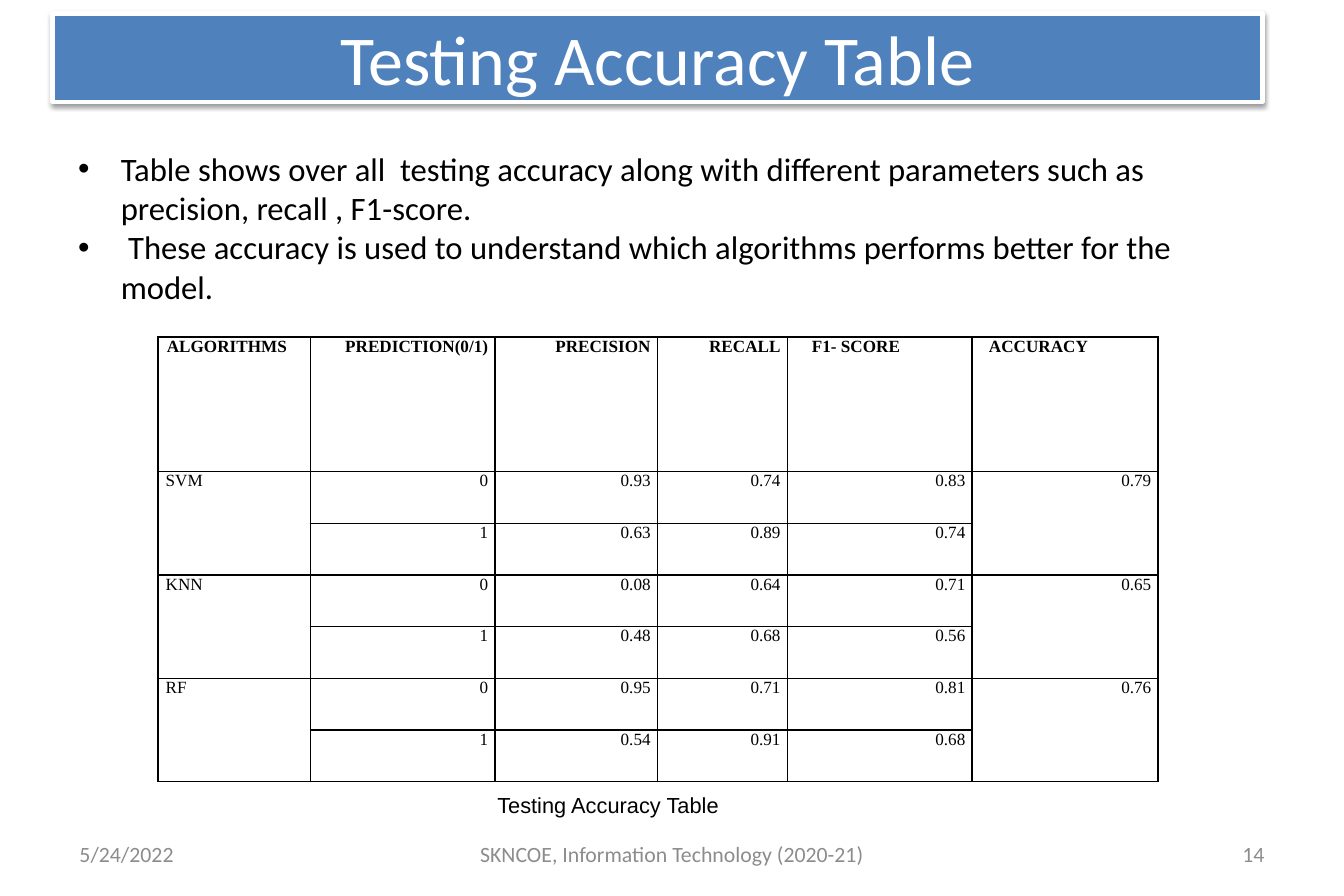
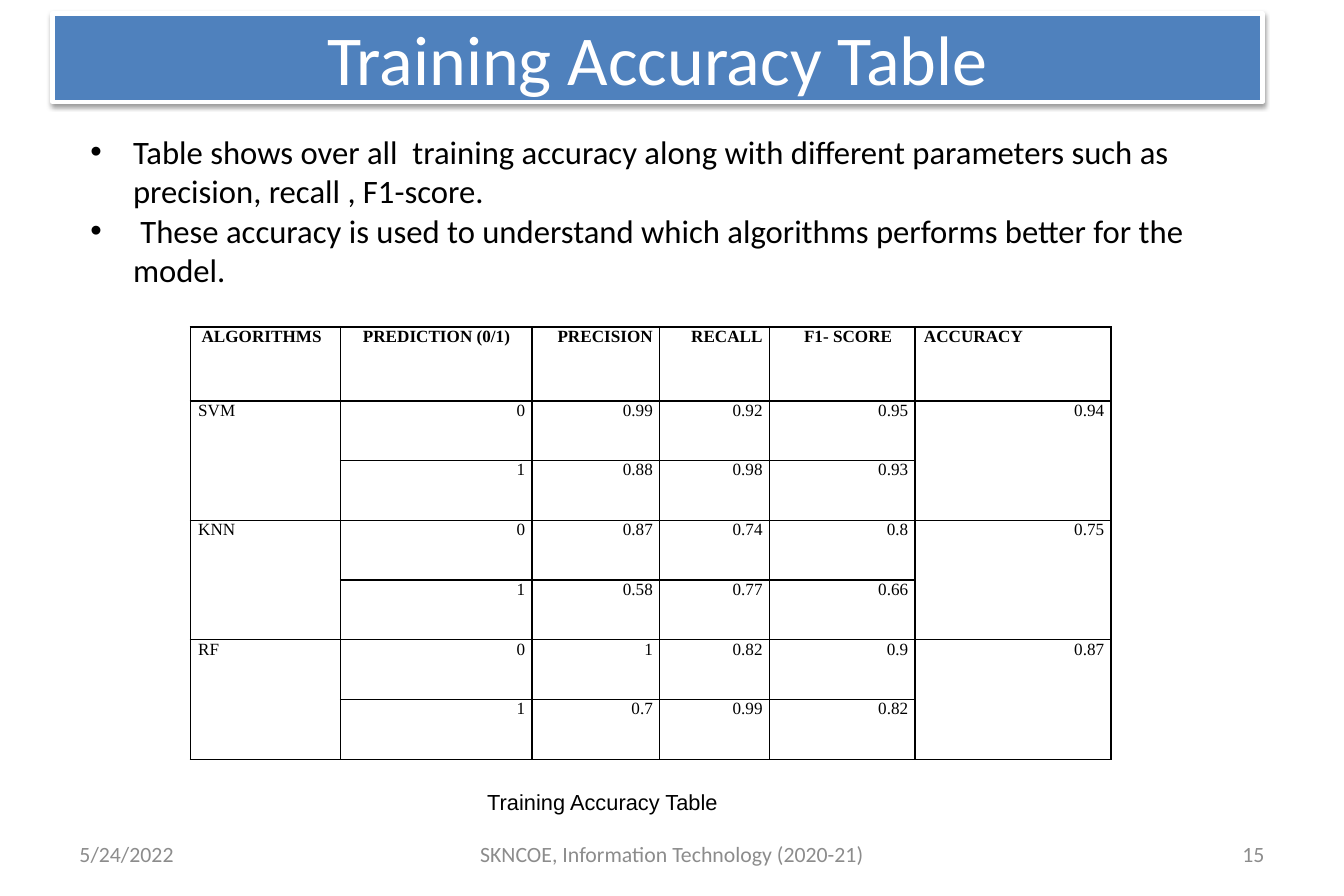
from dataclasses import dataclass

from lxml.etree import SubElement
from pptx import Presentation
from pptx.dml.color import RGBColor as Rgb
from pptx.enum.text import MSO_ANCHOR as Anchor, MSO_AUTO_SIZE as AutoSize, PP_ALIGN as Align
from pptx.oxml import parse_xml
from pptx.oxml.ns import nsdecls, qn
from pptx.util import Inches, Pt


@dataclass(frozen=True)
class Theme:
    """Colours, fonts and type sizes shared by all slides."""
    band: Rgb = Rgb(0x4F, 0x81, 0xBD)
    white: Rgb = Rgb(0xFF, 0xFF, 0xFF)
    ink: Rgb = Rgb(0, 0, 0)
    muted: Rgb = Rgb(0x8C, 0x8C, 0x8C)
    sans: str = "Calibri"
    serif: str = "Times New Roman"
    caption: str = "Arial"
    title_size: int = 45
    body_size: int = 21
    small_size: int = 14
    cell_size: int = 11


THEME = Theme()
TITLE_BOX = (0.47, 0.12, 10.8, 0.79)
FOOTER_TOP, FOOTER_HEIGHT = 7.41, 0.43
DATE = "5/24/2022"
FOOTER = "SKNCOE, Information Technology (2020-21)"
HEADINGS = ("PRECISION", "RECALL", "F1- SCORE", "ACCURACY")
PADDED = dict(margin_left=Inches(0.11), margin_right=Inches(0.11),
              margin_top=Inches(0.06), margin_bottom=Inches(0.06),
              vertical_anchor=Anchor.MIDDLE)

SLIDES = (
    dict(kind="Testing", number="14",
         body_box=(0.6, 1.28, 10.08, 1.51),
         table_box=(1.41, 3.01, 8.92, 3.97), header_height=1.2,
         columns=(1.36, 1.65, 1.45, 1.16, 1.65, 1.66),
         prediction="PREDICTION(0/1)",
         heading_indents=(0.08, None, None, None, 0.22, 0.15),
         caption_box=(4.14, 7.01, 2.67, 0.36),
         results=(("SVM", "0.79", ("0.93", "0.74", "0.83"), ("0.63", "0.89", "0.74")),
                  ("KNN", "0.65", ("0.08", "0.64", "0.71"), ("0.48", "0.68", "0.56")),
                  ("RF", "0.76", ("0.95", "0.71", "0.81"), ("0.54", "0.91", "0.68")))),
    dict(kind="Training", number="15",
         body_box=(0.71, 1.13, 10.37, 1.87),
         table_box=(1.7, 2.92, 8.21, 3.86), header_height=0.66,
         columns=(1.34, 1.71, 1.14, 0.98, 1.3, 1.75),
         prediction="PREDICTION (0/1)",
         heading_indents=(0.1, 0.2, None, None, 0.31, 0.08),
         caption_box=(4.05, 6.98, 3.18, 0.36),
         results=(("SVM", "0.94", ("0.99", "0.92", "0.95"), ("0.88", "0.98", "0.93")),
                  ("KNN", "0.75", ("0.87", "0.74", "0.8"), ("0.58", "0.77", "0.66")),
                  ("RF", "0.87", ("1", "0.82", "0.9"), ("0.7", "0.99", "0.82")))),
)


def apply(target, values):
    """Set each attribute named in values on the target."""
    for name, value in values.items():
        setattr(target, name, value)


def write(paragraph, text, font, size, color, align=Align.LEFT, bold=False):
    """Put one formatted run into a paragraph."""
    paragraph.alignment = align
    run = paragraph.add_run()
    run.text = text
    apply(run.font, dict(name=font, size=Pt(size), bold=bold))
    run.font.color.rgb = color


def add_frame(slide, box, **values):
    """Add a wrapping text box and return its text frame."""
    frame = slide.shapes.add_textbox(*map(Inches, box)).text_frame
    apply(frame, dict(word_wrap=True, **values))
    return frame


def add_title(slide, box, text):
    """Turn the title placeholder into the framed blue band."""
    title = slide.shapes.title
    apply(title, dict(zip(("left", "top", "width", "height"), map(Inches, box))))
    title.fill.solid()
    title.fill.fore_color.rgb = THEME.band
    title.line.color.rgb = THEME.white
    title.line.width = Pt(3)
    title.shadow.inherit = False
    effects = title._element.spPr.find(qn("a:effectLst"))
    shadow = SubElement(effects, qn("a:outerShdw"), blurRad=str(Pt(3.1)),
                        dist=str(Pt(1.6)), dir="5400000", rotWithShape="0")
    black = SubElement(shadow, qn("a:srgbClr"), val=str(THEME.ink))
    SubElement(black, qn("a:alpha"), val="38000")
    apply(title.text_frame, dict(PADDED, auto_size=AutoSize.NONE, word_wrap=True))
    write(title.text_frame.paragraphs[0], text, THEME.sans, THEME.title_size,
          THEME.white, Align.CENTER)


def add_footer(slide, top, height, number):
    """Place date, footer text and slide number along the bottom."""
    for left, width, text, align in ((0.6, 2.8, DATE, Align.LEFT),
                                     (4.1, 3.8, FOOTER, Align.CENTER),
                                     (8.6, 2.8, number, Align.RIGHT)):
        frame = add_frame(slide, (left, top, width, height), **PADDED)
        write(frame.paragraphs[0], text, THEME.sans, THEME.small_size, THEME.muted, align)


def add_bullets(slide, box, lines):
    """Write the bulleted introduction with hanging indents."""
    frame = add_frame(slide, box)
    for index, line in enumerate(lines):
        paragraph = frame.add_paragraph() if index else frame.paragraphs[0]
        write(paragraph, line, THEME.sans, THEME.body_size, THEME.ink)
        props = paragraph._p.get_or_add_pPr()
        hang = Inches(0.38)
        apply(props, dict(marL=hang, indent=-hang))
        props.set("marL", str(hang))
        props.set("indent", str(-hang))
        SubElement(props, qn("a:buFont"), typeface="Arial")
        SubElement(props, qn("a:buChar"), char="\u2022")


def style_cell(cell):
    """Clear a cell's fill and give it thin black borders."""
    apply(cell, dict(margin_left=0, margin_right=Inches(0.06), margin_top=0, margin_bottom=0))
    cell.fill.background()
    props = cell._tc.get_or_add_tcPr()
    for index, side in enumerate("LRTB"):
        props.insert(index, parse_xml(
            f'<a:ln{side} {nsdecls("a")} w="{Pt(1)}"><a:solidFill>'
            f'<a:srgbClr val="{THEME.ink}"/></a:solidFill></a:ln{side}>'))


def fill_cell(cell, text, indent=None, bold=False):
    """Write a cell: right aligned, or left aligned when an indent is given."""
    align = Align.RIGHT
    if indent is not None:
        align = Align.LEFT
        cell.margin_left = Inches(indent)
    write(cell.text_frame.paragraphs[0], text, THEME.serif, THEME.cell_size,
          THEME.ink, align, bold)


def add_results(slide, box, header_height, columns, headings, indents, results):
    """Build the accuracy table, two rows for each algorithm."""
    row_count = 1 + 2 * len(results)
    table = slide.shapes.add_table(row_count, len(columns), *map(Inches, box)).table
    apply(table, dict(first_row=False, horz_banding=False))
    for column, width in zip(table.columns, columns):
        column.width = Inches(width)
    row_height = (box[3] - header_height) / (row_count - 1)
    for index, row in enumerate(table.rows):
        row.height = Inches(row_height if index else header_height)
        for cell in row.cells:
            style_cell(cell)

    for column, (heading, indent) in enumerate(zip(headings, indents)):
        fill_cell(table.cell(0, column), heading, indent, bold=True)
    last = len(columns) - 1
    for group, (algorithm, accuracy, *scores) in enumerate(results):
        top = 1 + 2 * group
        for column in (0, last):
            table.cell(top, column).merge(table.cell(top + 1, column))
        fill_cell(table.cell(top, 0), algorithm, 0.07)
        fill_cell(table.cell(top, last), accuracy)
        for prediction, values in enumerate(scores):
            for column, value in enumerate((str(prediction), *values), start=1):
                fill_cell(table.cell(top + prediction, column), value)


def add_caption(slide, box, text):
    """Write the caption below the table."""
    frame = add_frame(slide, box, margin_left=Inches(0.3), vertical_anchor=Anchor.MIDDLE)
    write(frame.paragraphs[0], text, THEME.caption, THEME.small_size, THEME.ink)


def add_accuracy_slide(deck, content):
    """Build one slide of title, bullets, table, caption and footer."""
    slide = deck.slides.add_slide(deck.slide_layouts[5])
    heading = f"{content['kind']} Accuracy Table"
    add_footer(slide, FOOTER_TOP, FOOTER_HEIGHT, content["number"])
    add_title(slide, TITLE_BOX, heading)
    add_results(slide, content["table_box"], content["header_height"], content["columns"],
                ("ALGORITHMS", content["prediction"], *HEADINGS),
                content["heading_indents"], content["results"])
    add_caption(slide, content["caption_box"], heading)
    add_bullets(slide, content["body_box"], (
        f"Table shows over all  {content['kind'].lower()} accuracy along with different "
        "parameters such as precision, recall , F1-score.",
        " These accuracy is used to understand which algorithms performs better "
        "for the model."))


deck = Presentation()
apply(deck, dict(slide_width=Inches(12), slide_height=Inches(8)))
for content in SLIDES:
    add_accuracy_slide(deck, content)
deck.save("out.pptx")
